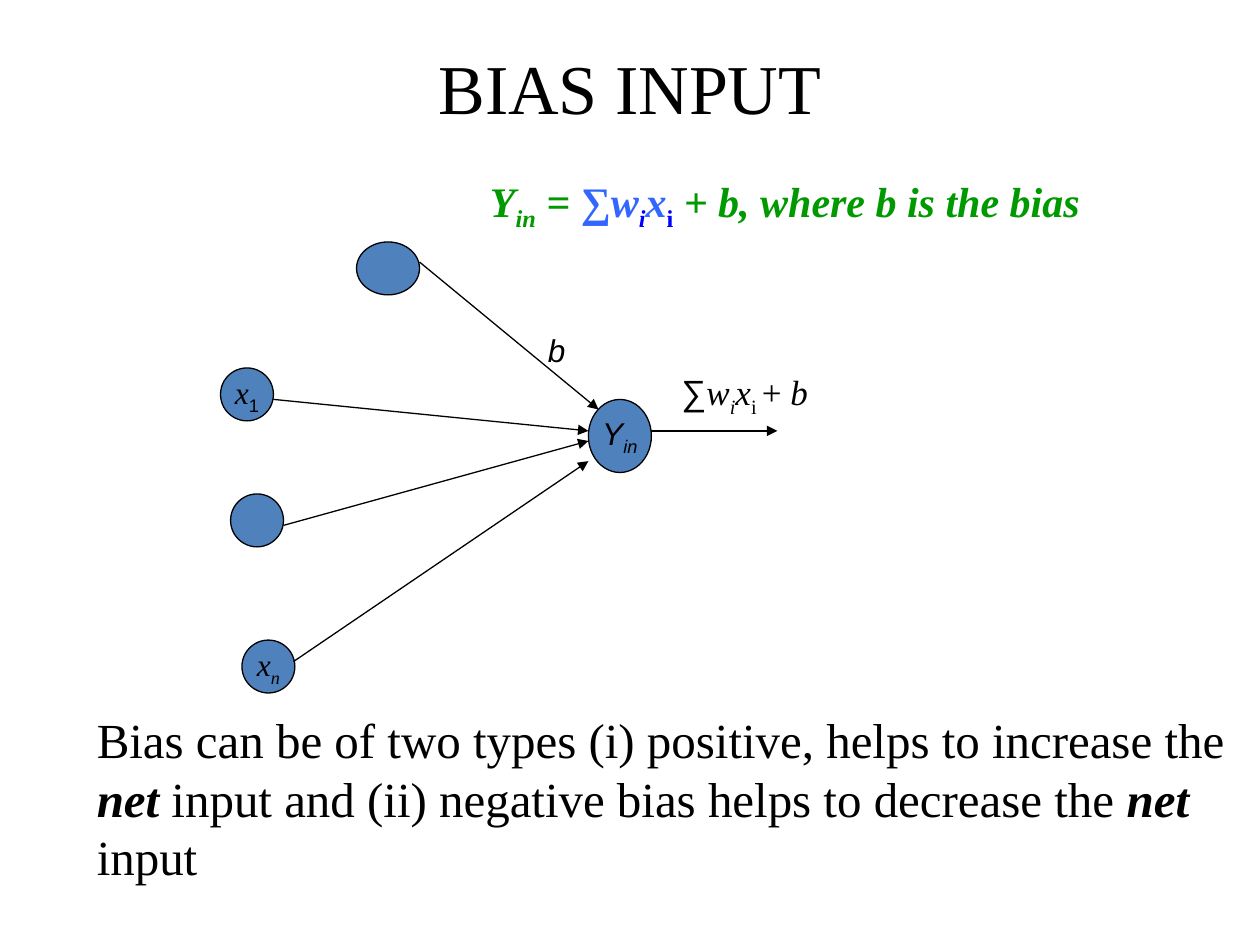
from lxml import etree
from pptx import Presentation
from pptx.dml.color import RGBColor
from pptx.enum.shapes import MSO_CONNECTOR, MSO_SHAPE
from pptx.enum.text import MSO_ANCHOR, PP_ALIGN
from pptx.oxml.ns import qn
from pptx.util import Inches, Pt

STRAIGHT = MSO_CONNECTOR.STRAIGHT
OVAL = MSO_SHAPE.OVAL
MIDDLE = MSO_ANCHOR.MIDDLE
LEFT, CENTER = PP_ALIGN.LEFT, PP_ALIGN.CENTER

SERIF, SANS = "Times New Roman", "Arial"
BLACK, NODE_BLUE = "000000", "4F81BD"
GREEN, SKY, BLUE = "009900", "3366FF", "0000FF"


def color(hex_value):
    return RGBColor.from_string(hex_value)


def add_run(paragraph, text, size, font=SERIF, style="", fill=BLACK):
    run = paragraph.add_run()
    run.text = text
    run.font.size = Pt(size)
    run.font.name = font
    run.font.bold = "b" in style
    run.font.italic = "i" in style
    run.font.color.rgb = color(fill)
    if "s" in style:
        run._r.get_or_add_rPr().set("baseline", "-25000")


def write_runs(paragraph, size, runs, alignment=LEFT):
    paragraph.alignment = alignment
    for text, *formatting in runs:
        add_run(paragraph, text, size, *formatting)


def add_title(slide, text):
    title = slide.shapes.title
    title.left, title.top = Inches(0.5), Inches(0.3)
    title.width, title.height = Inches(9), Inches(0.78)
    title.text_frame.vertical_anchor = MIDDLE
    write_runs(title.text_frame.paragraphs[0], 40, [(text,)], CENTER)


def add_text(slide, left, top, width, height, size, runs, wrap=True):
    box = slide.shapes.add_textbox(Inches(left), Inches(top), Inches(width), Inches(height))
    box.text_frame.word_wrap = wrap
    write_runs(box.text_frame.paragraphs[0], size, runs)


def add_neuron(slide, left, top, width, height, runs=()):
    neuron = slide.shapes.add_shape(OVAL, Inches(left), Inches(top), Inches(width), Inches(height))
    neuron.shadow.inherit = False
    neuron.fill.solid()
    neuron.fill.fore_color.rgb = color(NODE_BLUE)
    neuron.line.color.rgb = color(BLACK)
    neuron.line.width = Pt(0.75)
    if runs:
        neuron.text_frame.word_wrap = False
        neuron.text_frame.vertical_anchor = MIDDLE
        write_runs(neuron.text_frame.paragraphs[0], 18, runs, CENTER)


def add_arrow(slide, start, end):
    arrow = slide.shapes.add_connector(STRAIGHT, *map(Inches, start + end))
    arrow.line.color.rgb = color(BLACK)
    arrow.line.width = Pt(0.75)
    etree.SubElement(arrow.line._get_or_add_ln(), qn("a:tailEnd"), type="triangle")
    etree.SubElement(arrow._element.spPr, qn("a:effectLst"))


def main():
    presentation = Presentation()
    presentation.slide_width, presentation.slide_height = Inches(10), Inches(7.5)
    slide = presentation.slides.add_slide(presentation.slide_layouts[5])

    add_title(slide, "BIAS INPUT")

    add_neuron(slide, 4.67, 3.17, 0.5, 0.58, [("Y", SANS, "i"), ("in", SANS, "is")])
    add_neuron(slide, 2.83, 1.92, 0.5, 0.42)
    inputs = [
        (1.75, 2.92, [("x", SERIF, "i"), ("1", SANS, "s")]),
        (1.83, 3.92, []),
        (1.92, 5.08, [("x", SERIF, "i"), ("n", SERIF, "is")]),
    ]
    for left, top, runs in inputs:
        add_neuron(slide, left, top, 0.42, 0.42, runs)

    arrows = [
        ((2.17, 3.17), (4.67, 3.42)),
        ((2.25, 4.17), (4.67, 3.5)),
        ((2.33, 5.25), (4.67, 3.66)),
        ((3.33, 2.08), (4.75, 3.25)),
        ((5.17, 3.42), (6.17, 3.42)),
    ]
    for start, end in arrows:
        add_arrow(slide, start, end)

    add_text(slide, 4.25, 2.58, 0.42, 0.4, 18, [("b", SANS, "i")])
    add_text(slide, 0.67, 5.58, 9.17, 1.5, 28, [
        ("Bias can be of two types (i) positive, helps to increase the ",),
        ("net", SERIF, "bi"),
        (" input and (ii) negative bias helps to decrease the ",),
        ("net ", SERIF, "bi"),
        ("input",),
    ])
    add_text(slide, 3.79, 1.34, 4.88, 0.56, 24, [
        ("Y", SERIF, "bi", GREEN),
        ("in", SERIF, "bis", GREEN),
        (" = ", SERIF, "bi", GREEN),
        ("∑", SERIF, "b", SKY),
        ("w", SERIF, "bi", SKY),
        ("i", SERIF, "bis", BLUE),
        ("x", SERIF, "bi", SKY),
        ("i", SERIF, "bs", BLUE),
        (" + b, where b is the bias", SERIF, "bi", GREEN),
    ], wrap=False)
    add_text(slide, 5.31, 2.89, 1.83, 0.48, 20, [
        ("∑", SANS),
        ("w", SERIF, "i"),
        ("i", SERIF, "is"),
        ("x", SERIF, "i"),
        ("i ", SERIF, "s"),
        ("+ ",),
        ("b", SERIF, "i"),
    ])

    presentation.save("out.pptx")


if __name__ == "__main__":
    main()
